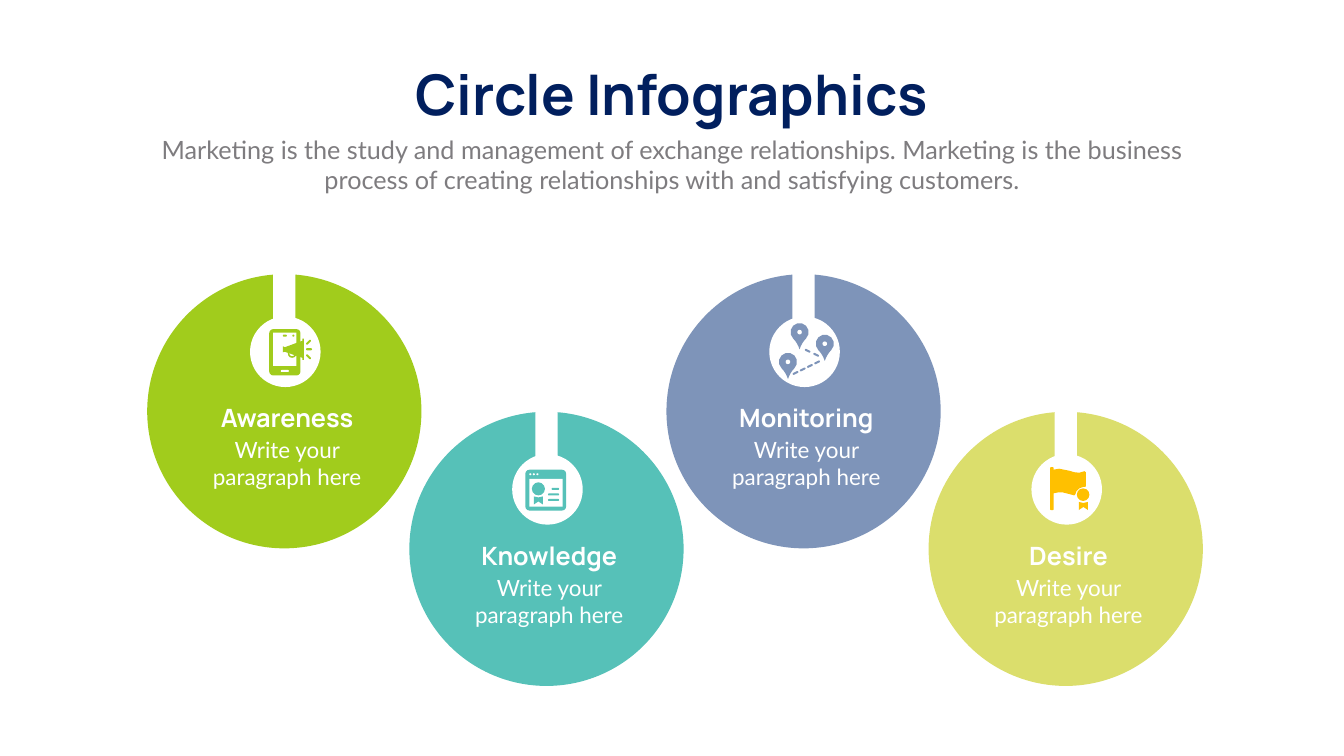
"""Builds a slide of four notched circles, each with an icon, a heading and a text."""
from dataclasses import dataclass
from typing import NamedTuple, Optional

from pptx import Presentation
from pptx.dml.color import RGBColor
from pptx.enum.shapes import MSO_SHAPE
from pptx.enum.text import MSO_ANCHOR, MSO_AUTO_SIZE, PP_ALIGN
from pptx.oxml import parse_xml
from pptx.oxml.ns import nsdecls
from pptx.util import Inches, Pt

COLUMNS, ROWS = 2666, 1500
CELL = Inches(0.01)
DISC, BADGE = 544, 140
FIRST_LEFT, FIRST_TOP = 292, 544
PAIR_PITCH, LOWER_SHIFT, LOWER_DROP = 1030, 520, 273
PIN, RIBBON_WIDTH, RIBBON_HEIGHT = 36, 18, 16


class Style(NamedTuple):
    font: str
    size: int
    color: str
    bold: bool = False


@dataclass(frozen=True)
class Theme:
    white: str = "FFFFFF"
    green: str = "A1CC1C"
    teal: str = "56C1B8"
    blue: str = "7E94B9"
    lime: str = "DBDE6C"
    amber: str = "FFC000"
    title: Style = Style("Manrope", 80, "011F5E", True)
    subtitle: Style = Style("Lato", 36, "7E7C7F")
    heading: Style = Style("Manrope", 36, "FFFFFF", True)
    body: Style = Style("Lato", 32, "FFFFFF")


THEME = Theme()


class Box(NamedTuple):
    left: float
    top: float
    width: float
    height: float

    def moved(self, left: float, top: float) -> "Box":
        return Box(self.left + left, self.top + top, self.width, self.height)


class Part(NamedTuple):
    kind: MSO_SHAPE
    box: Box
    color: str
    adjustment: Optional[float] = None
    rotation: float = 0


class Outline(NamedTuple):
    points: list
    color: str


class Step(NamedTuple):
    heading: str
    color: str
    icon: list


def bar(left: float, top: float, width: float, color: str, rotation: float = 0) -> Part:
    return Part(MSO_SHAPE.ROUNDED_RECTANGLE, Box(left, top, width, 4), color, 0.5, rotation)


def dot(left: float, top: float, size: float, color: str) -> Part:
    return Part(MSO_SHAPE.OVAL, Box(left, top, size, size), color)


def panel(box: Box, color: str, radius: float) -> Part:
    return Part(MSO_SHAPE.ROUNDED_RECTANGLE, box, color, radius)


def screen(box: Box) -> Part:
    return Part(MSO_SHAPE.RECTANGLE, box, THEME.white)


def pin(left: float, top: float, color: str) -> list:
    return [Part(MSO_SHAPE.TEAR, Box(left, top, PIN, PIN), color, 1.34, 135),
            dot(left + 13.5, top + 13.5, 9, THEME.white)]


def ribbon(left: float, top: float, color: str) -> Outline:
    right, bottom, middle = left + RIBBON_WIDTH, top + RIBBON_HEIGHT, left + RIBBON_WIDTH / 2
    return Outline([(left, top), (middle, top + 2), (right, top), (right, bottom),
                    (middle, bottom - 6), (left, bottom)], color)


def phone_icon(color: str) -> list:
    horn = [(65, 59), (69, 61), (104, 48), (104, 44), (107, 44), (107, 86), (104, 86),
            (104, 82), (69, 70), (65, 71)]
    return [panel(Box(38, 25, 62, 92), color, 0.13), screen(Box(46, 32, 46, 66)),
            bar(61, 106, 16, THEME.white), bar(65, 36, 8, color), dot(84, 36, 4, color),
            Part(MSO_SHAPE.DONUT, Box(75, 65, 17, 17), color, 0.18), Outline(horn, color),
            bar(111, 63, 12, color), bar(110, 49, 12, color, -45), bar(110, 78, 12, color, 45)]


def certificate_icon(color: str) -> list:
    return [panel(Box(26, 31, 81, 81), color, 0.1), screen(Box(34, 49, 66, 55)),
            *(dot(34 + 7 * index, 38, 4, THEME.white) for index in range(3)),
            dot(39, 56, 26, color), ribbon(43, 84, color),
            bar(78, 67, 15, color), *(bar(71, top, 22, color) for top in (78, 89))]


def route_icon(color: str) -> list:
    pins = [part for corner in ((92, 36), (19, 72), (42, 13)) for part in pin(*corner, color)]
    rising = [bar(46 + 14.3 * index, 110 - 7 * index, 12, color, -26) for index in range(4)]
    falling = [bar(70 + 17 * index, 66 + 8 * index, 12, color, 26) for index in range(2)]
    return pins + rising + falling


def flag_icon(color: str) -> list:
    cloth = [(43, 31), (55, 29.5), (65, 31), (75, 33), (85, 36), (95, 37), (105, 34),
             (108, 36), (108, 64), (106, 65), (103, 65), (95, 68), (89, 74), (87, 80),
             (85, 82), (74, 79), (62, 76), (53, 76), (43, 78)]
    return [panel(Box(37, 26, 7, 85), color, 0.25), Outline(cloth, color),
            dot(90, 68, 25, color), ribbon(94, 95, color)]


def paint(shape, color: str) -> None:
    shape.shadow.inherit = False
    shape.fill.solid()
    shape.fill.fore_color.rgb = RGBColor.from_string(color)
    shape.line.fill.background()


def place(shape, box: Box) -> None:
    shape.left, shape.top, shape.width, shape.height = (round(length * CELL) for length in box)


def draw_part(slide, part: Part, left: float, top: float) -> None:
    lengths = (round(length * CELL) for length in part.box.moved(left, top))
    shape = slide.shapes.add_shape(part.kind, *lengths)
    paint(shape, part.color)
    shape.rotation = part.rotation
    if part.adjustment is not None:
        shape.adjustments[0] = part.adjustment


def draw_outline(slide, outline: Outline, left: float, top: float) -> None:
    points = [(left + across, top + down) for across, down in outline.points]
    builder = slide.shapes.build_freeform(*points[0], scale=CELL)
    builder.add_line_segments(points[1:], close=True)
    paint(builder.convert_to_shape(), outline.color)


def write(shape, text: str, style: Style, wrap: bool = True) -> None:
    frame = shape.text_frame
    frame.word_wrap = wrap
    frame.auto_size = MSO_AUTO_SIZE.SHAPE_TO_FIT_TEXT
    frame.vertical_anchor = MSO_ANCHOR.TOP
    paragraph = frame.paragraphs[0]
    paragraph.alignment = PP_ALIGN.CENTER
    paragraph.space_before = Pt(0)
    run = paragraph.add_run()
    run.text = text
    run.font.name, run.font.size, run.font.bold = style.font, Pt(style.size), style.bold
    run.font.color.rgb = RGBColor.from_string(style.color)


def add_label(slide, box: Box, text: str, style: Style) -> None:
    label = slide.shapes.add_textbox(*(round(length * CELL) for length in box))
    write(label, text, style)


def draw_step(slide, step: Step, index: int) -> None:
    pair, lower = divmod(index, 2)
    left = FIRST_LEFT + pair * PAIR_PITCH + lower * LOWER_SHIFT
    top = FIRST_TOP + lower * LOWER_DROP
    badge_left, badge_top = (DISC - BADGE) / 2 + 2, 84
    draw_part(slide, dot(0, 0, DISC, step.color), left, top)
    draw_part(slide, screen(Box(250, -77, 44, 183)), left, top)
    draw_part(slide, dot(badge_left, badge_top, BADGE, THEME.white), left, top)
    add_label(slide, Box(117, 317, 321, 118).moved(left, top), "Write your paragraph here", THEME.body)
    add_label(slide, Box(116, 250, 323, 71).moved(left, top), step.heading, THEME.heading)
    for piece in step.icon:
        draw = draw_outline if isinstance(piece, Outline) else draw_part
        draw(slide, piece, left + badge_left, top + badge_top)


def main() -> None:
    presentation = Presentation()
    presentation.slide_width, presentation.slide_height = COLUMNS * CELL, ROWS * CELL
    slide = presentation.slides.add_slide(presentation.slide_layouts[1])
    title, subtitle = slide.shapes.title, slide.placeholders[1]
    place(title, Box(774, 114, 1117, 145))
    write(title, "Circle Infographics", THEME.title, wrap=False)
    place(subtitle, Box(292, 261, 2082, 131))
    write(subtitle, "Marketing is the study and management of exchange relationships. Marketing is "
          "the business process of creating relationships with and satisfying customers.", THEME.subtitle)
    properties = subtitle.text_frame.paragraphs[0]._p.get_or_add_pPr()
    properties.set("marL", "0")
    properties.set("indent", "0")
    properties.append(parse_xml(f"<a:buNone {nsdecls('a')}/>"))
    steps = [Step("Awareness", THEME.green, phone_icon(THEME.green)),
             Step("Knowledge", THEME.teal, certificate_icon(THEME.teal)),
             Step("Monitoring", THEME.blue, route_icon(THEME.blue)),
             Step("Desire", THEME.lime, flag_icon(THEME.amber))]
    for index, step in enumerate(steps):
        draw_step(slide, step, index)
    presentation.save("out.pptx")


if __name__ == "__main__":
    main()
